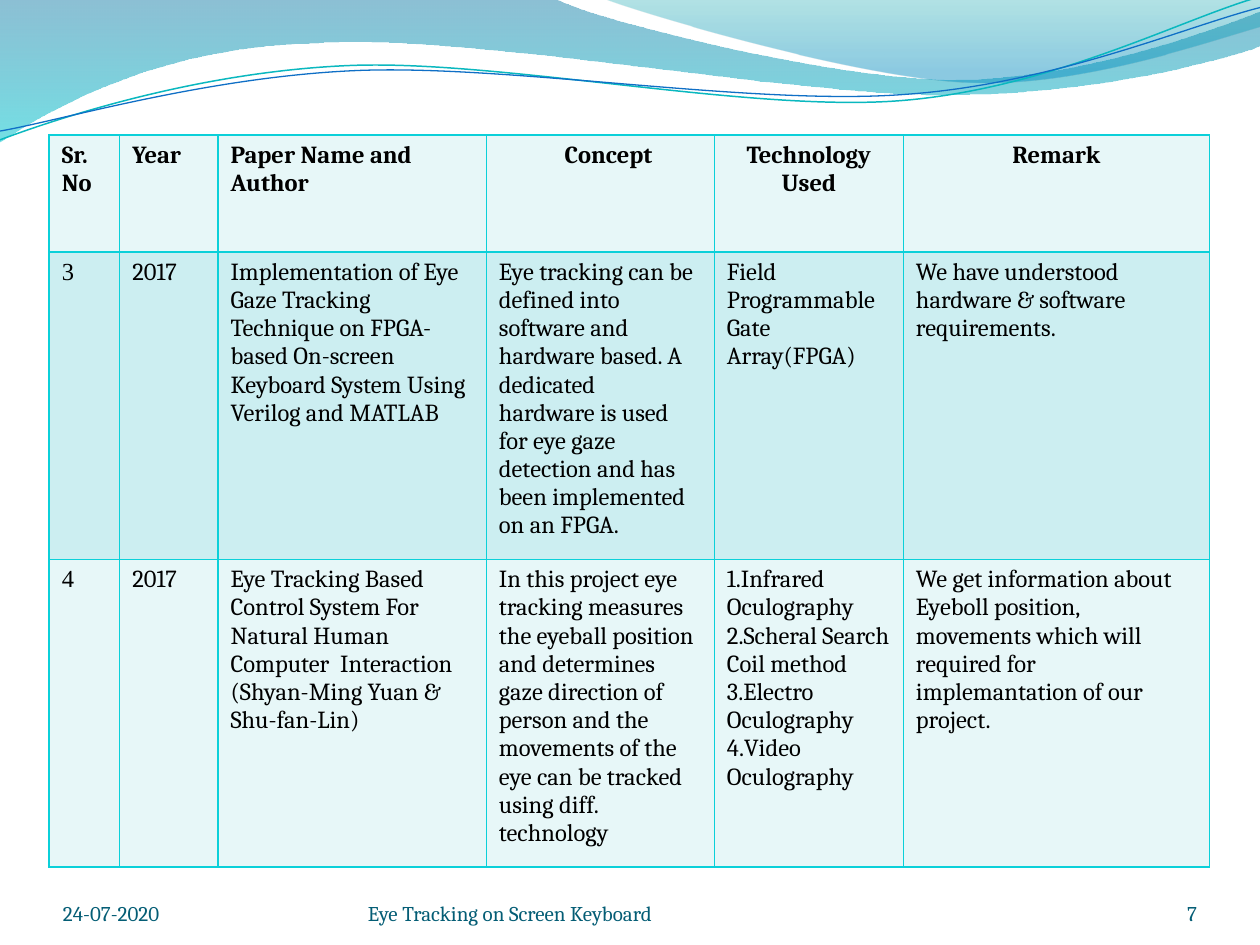
import math
import pptx
import pptx.util
import pptx.dml.color
import pptx.enum.text
import pptx.oxml
import lxml.etree

WAVES = [
    {"start": (0, 0),
     "parts": [(4.4, -0.01), (4.76, 0.17, 6.64, 0.63, 7.58, 0.63),
               (8.53, 0.63, 9.58, 0.26, 10, 0.09), (10.01, 0.36),
               (9.83, 0.44, 8.7, 0.76, 7.46, 0.75),
               (6.22, 0.75, 3.82, 0.28, 2.57, 0.34),
               (1.29, 0.36, 0.46, 0.83, -0.01, 1.13), (0, 0)],
     "fill": [(0, "0074A1", 45), (1, "00C6CF", 55)]},
    {"start": (4.79, -0.01),
     "parts": [(5.09, 0.11, 6.82, 0.62, 7.69, 0.65),
               (8.56, 0.69, 9.61, 0.32, 10, 0.21), (10, 0), (4.79, -0.01)],
     "fill": [(0, "00A1A9", 30), (0.8, "008BBF", 45)]},
    {"start": (0, 1.11),
     "parts": [(0.48, 0.93, 1.58, 0.57, 2.77, 0.52),
               (3.95, 0.47, 5.93, 0.89, 7.13, 0.8),
               (8.33, 0.71, 9.38, 0.15, 9.98, -0.02)],
     "line": ("0AB8BF", 0.85), "turn": -2.7},
    {"start": (0, 1.04),
     "parts": [(0.47, 0.96, 1.64, 0.61, 2.83, 0.56),
               (4.03, 0.51, 5.97, 0.84, 7.17, 0.75),
               (8.36, 0.67, 9.41, 0.21, 10, 0.06)],
     "line": ("0F6FC6", 0.75), "turn": -2.7},
]

ROWS = [
    ["Sr. No", "Year", "Paper Name and Author", "Concept",
     "Technology Used", "Remark"],
    ["3", "2017",
     "Implementation of Eye Gaze Tracking Technique on FPGA-based "
     "On-screen Keyboard System Using Verilog and MATLAB",
     "Eye tracking can be defined into software and hardware based. "
     "A dedicated  hardware is used  for eye gaze detection and has been "
     "implemented on an FPGA.",
     "Field Programmable Gate Array(FPGA)",
     "We have understood hardware & software requirements."],
    ["4", "2017",
     "Eye Tracking Based Control System For Natural Human "
     "Computer  Interaction\n(Shyan-Ming Yuan & Shu-fan-Lin)",
     "In this project eye tracking measures the eyeball position and "
     "determines gaze direction of person and the movements of the eye "
     "can be tracked using diff. technology",
     "1.Infrared Oculography\n2.Scheral Search Coil method\n"
     "3.Electro Oculography\n4.Video Oculography",
     "We get information about Eyeboll position, movements which will "
     "required for implemantation of our project."],
]
WIDTHS = [0.56, 0.78, 2.13, 1.81, 1.5, 2.43]
HEIGHTS = [0.93, 2.44, 2.44]

ALIGN = pptx.enum.text.PP_ALIGN
FOOT = [
    ("24-07-2020", 0.5, 2.33, ALIGN.LEFT),
    ("7", 8.67, 0.83, ALIGN.RIGHT),
    ("Eye Tracking on Screen Keyboard", 2.92, 3.67, ALIGN.LEFT),
]

THEME = {
    "font": "Cambria", "digit": "Times New Roman",
    "body": 14, "small": 12,
    "ink": "000000", "foot": "045D75", "edge": "0BD0D9",
    "bands": ("E7F7F8", "CCEEF1"),
}

Inches = pptx.util.Inches
qn = pptx.oxml.ns.qn


def rgb(code):
    return pptx.dml.color.RGBColor.from_string(code)


def style(para, size, color, face=THEME["font"], bold=False, align=ALIGN.LEFT):
    para.alignment = align
    font = para.font
    font.name, font.size, font.bold = face, pptx.util.Pt(size), bold
    font.color.rgb = rgb(color)


def level(points, turn):
    mid_x, mid_y = 4.99, 0.58
    cos, sin = math.cos(math.radians(-turn)), math.sin(math.radians(-turn))
    return [(mid_x + (x - mid_x) * cos - (y - mid_y) * sin,
             mid_y + (x - mid_x) * sin + (y - mid_y) * cos)
            for x, y in points]


def bend(shape, parts):
    steps = iter(list(shape._element.iter(qn("a:lnTo"))))
    for part in parts:
        step = next(steps)
        if len(part) == 6:
            step.tag = qn("a:cubicBezTo")
            for spare in (next(steps), next(steps)):
                step.append(spare[0])
                spare.getparent().remove(spare)


def wave(slide, start, parts, fill=None, line=None, turn=0):
    points = [start] + [part[i:i + 2] for part in parts
                        for i in range(0, len(part), 2)]
    first, *rest = [(Inches(x), Inches(y)) for x, y in level(points, turn)]
    build = slide.shapes.build_freeform(*first, scale=1.0)
    build.add_line_segments(rest, close=bool(fill))
    shape = build.convert_to_shape()
    bend(shape, parts)
    shape.rotation = turn
    shape.shadow.inherit = False
    if line:
        shape.fill.background()
        shape.line.color.rgb = rgb(line[0])
        shape.line.width = pptx.util.Pt(line[1])
        return
    shape.line.fill.background()
    shape.fill.gradient()
    shape.fill.gradient_angle = 270
    for stop, (place, color, alpha) in zip(shape.fill.gradient_stops, fill):
        stop.position = place
        stop.color.rgb = rgb(color)
    tints = shape._element.spPr.findall(".//" + qn("a:srgbClr"))
    for tint, (place, color, alpha) in zip(tints, fill):
        lxml.etree.SubElement(tint, qn("a:alpha"), val=str(alpha * 1000))


def edge(cell):
    props = cell._tc.get_or_add_tcPr()
    for side in "LRTB":
        props.append(pptx.oxml.parse_xml(
            f'<a:ln{side} {pptx.oxml.ns.nsdecls("a")} w="12700"><a:solidFill>'
            f'<a:srgbClr val="{THEME["edge"]}"/></a:solidFill></a:ln{side}>'))


def grid(slide):
    table = slide.shapes.add_table(
        len(ROWS), len(WIDTHS), Inches(0.39), Inches(1.07),
        Inches(sum(WIDTHS)), Inches(sum(HEIGHTS))).table
    table.first_row = table.horz_banding = False
    for col, width in zip(table.columns, WIDTHS):
        col.width = Inches(width)
    for r, (row, height) in enumerate(zip(ROWS, HEIGHTS)):
        table.rows[r].height = Inches(height)
        for c, text in enumerate(row):
            cell = table.cell(r, c)
            edge(cell)
            cell.fill.solid()
            cell.fill.fore_color.rgb = rgb(THEME["bands"][r % 2])
            cell.text = text
            head = r == 0
            face = THEME["digit" if c == 0 and not head else "font"]
            align = ALIGN.CENTER if head and c > 2 else ALIGN.LEFT
            for para in cell.text_frame.paragraphs:
                style(para, THEME["body"], THEME["ink"], face, head, align)
    table.cell(0, 3).margin_left = Inches(0.23)


def footer(slide):
    for text, left, width, align in FOOT:
        frame = slide.shapes.add_textbox(
            Inches(left), Inches(6.95), Inches(width), Inches(0.4)).text_frame
        frame.word_wrap = True
        frame.vertical_anchor = pptx.enum.text.MSO_ANCHOR.BOTTOM
        frame.margin_left = frame.margin_right = 0
        frame.margin_top = frame.margin_bottom = 0
        frame.text = text
        style(frame.paragraphs[0], THEME["small"], THEME["foot"], align=align)


def main():
    deck = pptx.Presentation()
    deck.slide_width, deck.slide_height = Inches(10), Inches(7.5)
    slide = deck.slides.add_slide(deck.slide_layouts[6])
    for item in WAVES:
        wave(slide, **item)
    grid(slide)
    footer(slide)
    deck.save("out.pptx")


if __name__ == "__main__":
    main()
